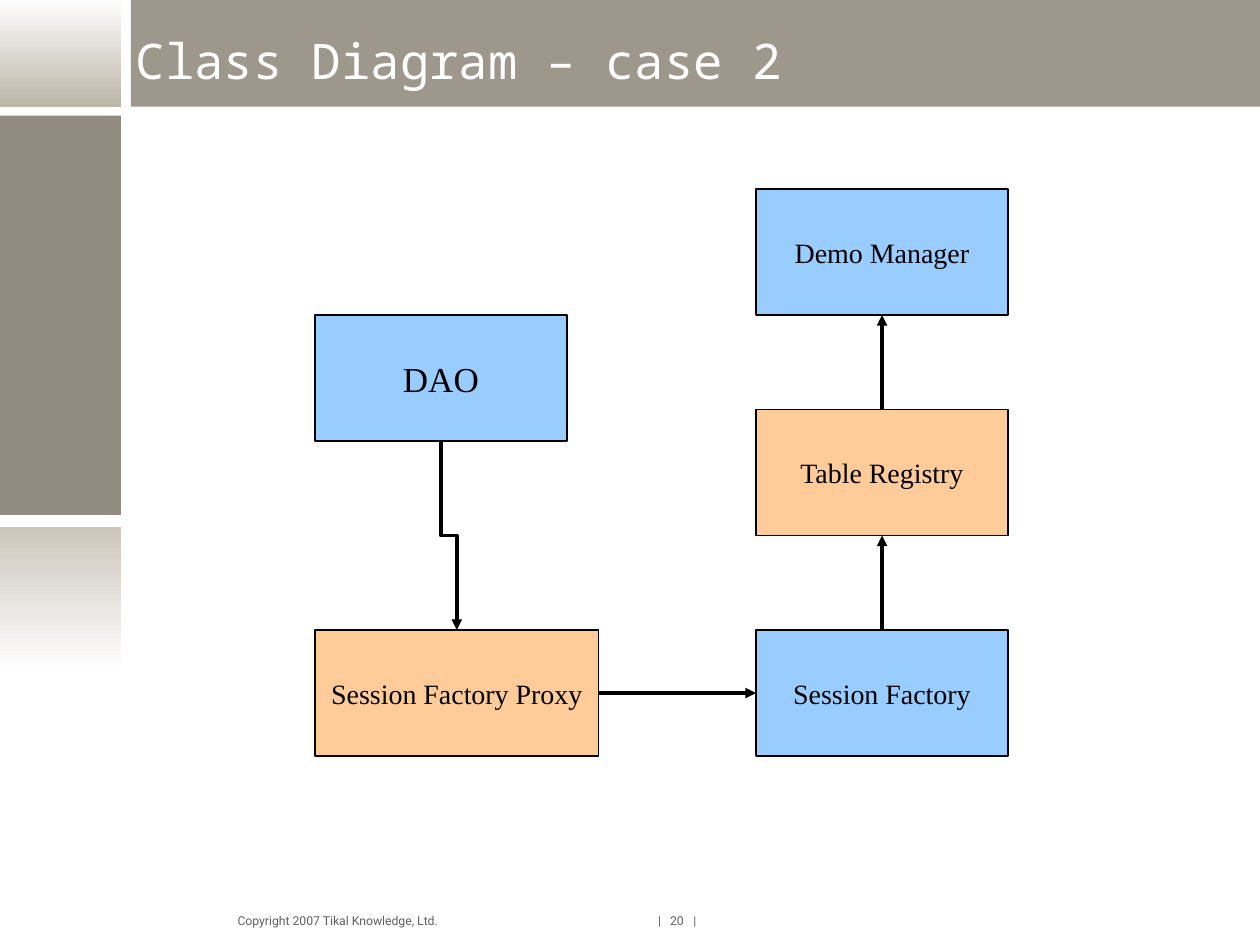
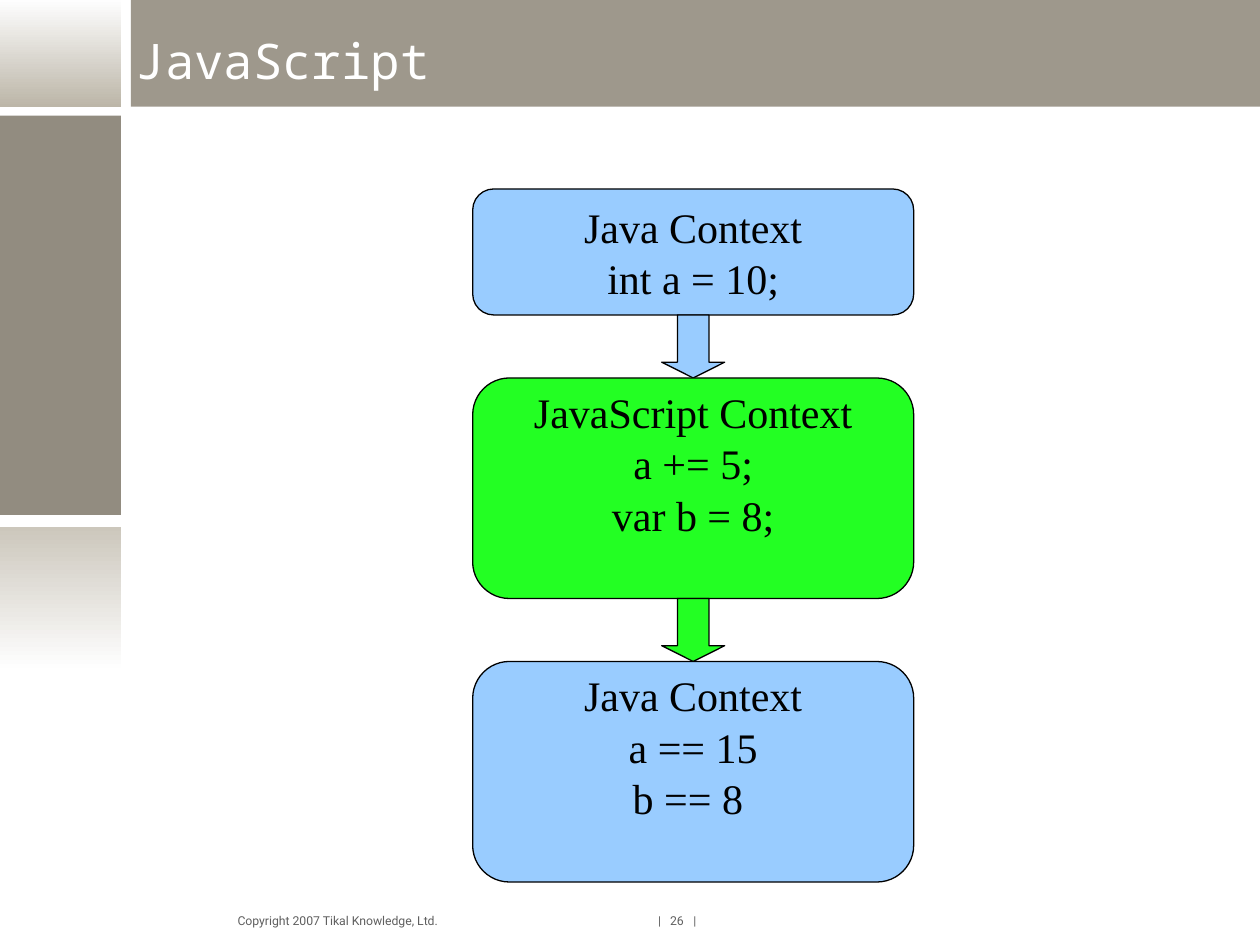
from lxml.etree import SubElement
from pptx import Presentation
from pptx.dml.color import RGBColor
from pptx.enum.shapes import MSO_CONNECTOR as LINK, MSO_SHAPE as SHAPE
from pptx.enum.text import MSO_ANCHOR as ANCHOR, PP_ALIGN as ALIGN
from pptx.oxml.ns import qn
from pptx.util import Cm, Pt

COLOURS = {
    "banner": "9E988C", "side": "928C80", "sand": "CCC7BC", "clay": "BCB6A8",
    "pale": "FEFEFE", "white": "FFFFFF", "grey": "5F5F5F", "black": "000000",
    "blue": "99CCFF", "orange": "FFCC99", "green": "23FF23",
}
TITLE_FONT, FOOTER_FONT, DIAGRAM_FONT = "Noto Sans Mono", "Roboto", "Times New Roman"
SLIDE_WIDTH, SLIDE_HEIGHT = 25.4, 19.05
SIDE_WIDTH, BANNER_LEFT, BANNER_HEIGHT = 2.44, 2.64, 2.15
TOP, LEFT, BOTTOM, RIGHT = range(4)


def colour(name):
    """Return the named colour."""
    return RGBColor.from_string(COLOURS[name])


def style_font(paragraph, face, size, shade):
    """Format every run of a paragraph."""
    for run in paragraph.runs:
        run.font.name = face
        run.font.size = Pt(size)
        run.font.color.rgb = colour(shade)


def add_block(slide, kind, box, fill, outline=None):
    """Draw a filled shape in a box, shaded downwards if two fills are given."""
    block = slide.shapes.add_shape(kind, *map(Cm, box))
    block.shadow.inherit = False
    if isinstance(fill, tuple):
        block.fill.gradient()
        block.fill.gradient_angle = 270
        for stop, shade in zip(block.fill.gradient_stops, fill):
            stop.color.rgb = colour(shade)
    else:
        block.fill.solid()
        block.fill.fore_color.rgb = colour(fill)
    if outline:
        block.line.color.rgb = colour(outline)
        block.line.width = Pt(0)
    else:
        block.line.fill.background()
    return block


def add_labelled_block(slide, kind, box, fill, label, size, lift=0):
    """Draw an outlined shape with centred lines of text, raised by a bottom inset."""
    block = add_block(slide, kind, box, fill, "black")
    frame = block.text_frame
    frame.word_wrap = True
    frame.vertical_anchor = ANCHOR.MIDDLE
    frame.margin_bottom = Cm(0.13 + lift)
    frame.text = label
    for line in frame.paragraphs:
        line.alignment = ALIGN.CENTER
        line.line_spacing = 1.02
        style_font(line, DIAGRAM_FONT, size, "black")
    return block


def add_link(slide, source, source_side, target, target_side):
    """Join two blocks with an arrow, bent halfway if they are out of line."""
    link = slide.shapes.add_connector(LINK.STRAIGHT, 0, 0, 0, 0)
    link.begin_connect(source, source_side)
    link.end_connect(target, target_side)
    width, height = link.width, link.height
    if width and height:
        centre_x, centre_y = link.left + width // 2, link.top + height // 2
        link.left, link.top = centre_x - height // 2, centre_y - width // 2
        link.width, link.height = height, width
        properties = link.element.spPr
        properties.find(qn("a:xfrm")).set("rot", "16200000")
        properties.find(qn("a:xfrm")).set("flipH", "1")
        properties.find(qn("a:prstGeom")).set("prst", "bentConnector3")
    link.line.color.rgb = colour("black")
    link.line.width = Pt(0)
    SubElement(link.line._get_or_add_ln(), qn("a:tailEnd"), type="triangle")
    SubElement(link.element.spPr, qn("a:effectLst"))


def add_bands(slide):
    """Draw the banner and the left column of bands."""
    bands = [
        ((BANNER_LEFT, 0, SLIDE_WIDTH - BANNER_LEFT, BANNER_HEIGHT), "banner"),
        ((0, 0, SIDE_WIDTH, BANNER_HEIGHT), ("pale", "clay")),
        ((0, 2.33, SIDE_WIDTH, 8.05), "side"),
        ((0, 10.62, SIDE_WIDTH, 2.85), ("sand", "pale")),
    ]
    for box, fill in bands:
        add_block(slide, SHAPE.RECTANGLE, box, fill)


def add_title(slide, text):
    """Fill the title placeholder and bring it in front of the banner."""
    title = slide.shapes.title
    title.left, title.top, title.width, title.height = map(Cm, (2.74, 0.43, 21.77, 1.68))
    frame = title.text_frame
    frame.margin_left = frame.margin_right = frame.margin_top = frame.margin_bottom = 0
    frame.vertical_anchor = ANCHOR.MIDDLE
    frame.text = text
    heading = frame.paragraphs[0]
    heading.alignment = ALIGN.LEFT
    heading.line_spacing = 0.95
    style_font(heading, TITLE_FONT, 28, "white")
    title.element.getparent().append(title.element)


def add_footer(slide, number):
    """Write the copyright line and page number on tab stops."""
    footer = slide.shapes.add_textbox(*map(Cm, (4.54, 18.29, 11.02, 0.58)))
    footer.text_frame.word_wrap = True
    footer.text_frame.text = f"Copyright 2007 Tikal Knowledge, Ltd.\t|\t{number}\t|"
    line = footer.text_frame.paragraphs[0]
    stops = SubElement(line._p.get_or_add_pPr(), qn("a:tabLst"))
    for position in (8.48, 8.72, 9.19):
        SubElement(stops, qn("a:tab"), pos=str(Cm(position)), algn="l")
    style_font(line, FOOTER_FONT, 7, "grey")


def add_page(deck, title, number):
    """Add a slide with the shared bands, title and footer."""
    slide = deck.slides.add_slide(deck.slide_layouts[5])
    add_bands(slide)
    add_footer(slide, number)
    add_title(slide, title)
    return slide


def add_class_diagram(slide, left, top):
    """Place the classes in two columns and link them."""
    column, row, width, height = 8.89, 4.445, 5.08, 2.54

    def add_class(name, x, y, fill, size=16, class_width=width):
        """Place one class relative to the diagram."""
        box = (left + x, top + y, class_width, height)
        return add_labelled_block(slide, SHAPE.RECTANGLE, box, fill, name, size)

    dao = add_class("DAO", 0, height, "blue", 20)
    proxy = add_class("Session Factory Proxy", 0, 2 * row, "orange", class_width=5.72)
    factory = add_class("Session Factory", column, 2 * row, "blue")
    registry = add_class("Table Registry", column, row, "orange")
    manager = add_class("Demo Manager", column, 0, "blue")
    add_link(slide, dao, BOTTOM, proxy, TOP)
    add_link(slide, proxy, RIGHT, factory, LEFT)
    add_link(slide, factory, TOP, registry, BOTTOM)
    add_link(slide, registry, TOP, manager, BOTTOM)


def add_context_flow(slide, left, top, width):
    """Stack the contexts with a block arrow in each gap."""
    arrow_size = 1.27
    contexts = [
        ("Java Context\nint a = 10;", 2.54, "blue", 0),
        ("JavaScript Context\na += 5;\nvar b = 8;", 4.445, "green", 1.04),
        ("Java Context\na == 15\nb == 8 ", 4.445, "blue", 1.04),
    ]
    for index, (code, height, fill, lift) in enumerate(contexts):
        box = (left, top, width, height)
        add_labelled_block(slide, SHAPE.FLOWCHART_ALTERNATE_PROCESS, box, fill, code, 24, lift)
        top += height
        if index < len(contexts) - 1:
            arrow_box = (left + (width - arrow_size) / 2, top, arrow_size, arrow_size)
            arrow = add_block(slide, SHAPE.DOWN_ARROW, arrow_box, fill, "black")
            arrow.adjustments[0], arrow.adjustments[1] = 0.5, 0.25
            top += arrow_size


def main():
    """Build and save the deck."""
    deck = Presentation()
    deck.slide_width, deck.slide_height = Cm(SLIDE_WIDTH), Cm(SLIDE_HEIGHT)
    add_class_diagram(add_page(deck, "Class Diagram – case 2", 20), 6.35, 3.81)
    add_context_flow(add_page(deck, "JavaScript", 26), 9.53, 3.81, 8.89)
    deck.save("out.pptx")


if __name__ == "__main__":
    main()
